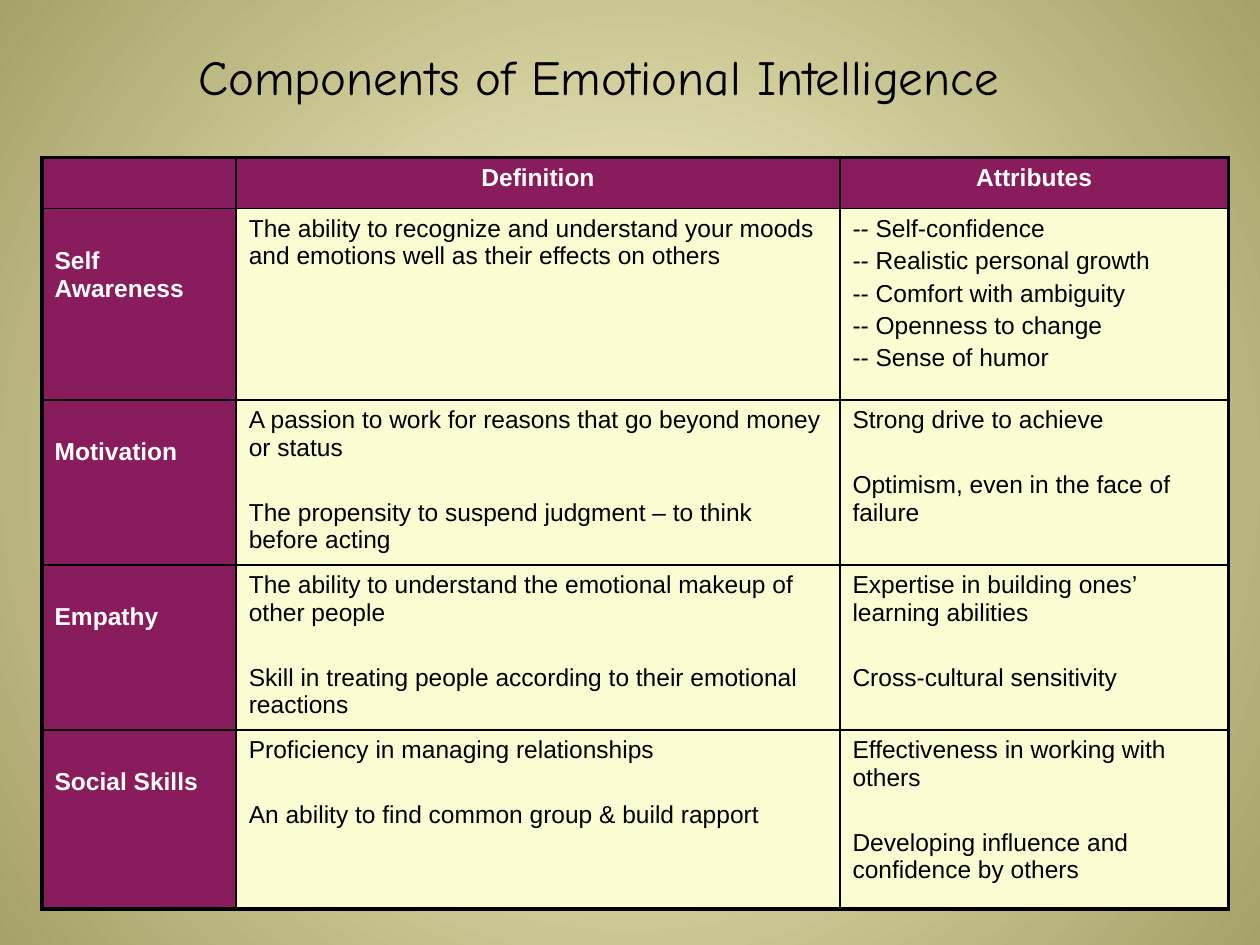
from lxml import etree
from pptx import Presentation
from pptx.dml.color import RGBColor
from pptx.enum.text import MSO_ANCHOR, PP_ALIGN
from pptx.oxml.ns import qn
from pptx.util import Pt

CENTER, LEFT = PP_ALIGN.CENTER, PP_ALIGN.LEFT
MIDDLE, TOP = MSO_ANCHOR.MIDDLE, MSO_ANCHOR.TOP

PLUM, CREAM, BLACK, WHITE = "881C5C", "FCFCD2", "000000", "FFFFFF"
GLOW, OLIVE = "FFFCD4", "A6A167"
TITLE_FONT, BODY_FONT = "Comic Neue", "Arial"
BODY_SIZE = 14
INNER_LINE, OUTER_LINE = 1, 2.25
LIST_GAP, STATEMENT_GAP = 2.8, 21.5
CELL_TOP, LABEL_TOP = 3.6, 22.1

COLUMN_WIDTHS = [111, 345, 222]
ROW_HEIGHTS = [25.9, 109.4, 94.3, 94.3, 102.2]
HEADINGS = ["", "Definition", "Attributes"]
COMPONENTS = [
    ("Self Awareness",
     ["The ability to recognize and understand your moods and emotions well "
      "as their effects on others"],
     ["-- Self-confidence", "-- Realistic personal growth",
      "-- Comfort with ambiguity", "-- Openness to change",
      "-- Sense of humor"]),
    ("Motivation",
     ["A passion to work for reasons that go beyond money or status",
      "The propensity to suspend judgment – to think before acting"],
     ["Strong drive to achieve", "Optimism, even in the face of failure"]),
    ("Empathy",
     ["The ability to understand the emotional makeup of other people",
      "Skill in treating people according to their emotional reactions"],
     ["Expertise in building ones’ learning abilities",
      "Cross-cultural sensitivity"]),
    ("Social Skills",
     ["Proficiency in managing relationships",
      "An ability to find common group & build rapport"],
     ["Effectiveness in working with others",
      "Developing influence and confidence by others"]),
]


def color(hex_value):
    return RGBColor.from_string(hex_value)


class SlideBuilder:
    def __init__(self, slide):
        self.slide = slide

    def background(self, center, edge):
        fill = self.slide.background.fill
        fill.gradient()
        for stop, hex_value in zip(fill.gradient_stops, (center, edge)):
            stop.color.rgb = color(hex_value)
        # Turn the linear gradient into a circular one
        linear = next(self.slide.element.iter(qn("a:lin")))
        circle = etree.Element(qn("a:path"), path="circle")
        etree.SubElement(circle, qn("a:fillToRect"),
                         l="50000", t="50000", r="50000", b="50000")
        linear.getparent().replace(linear, circle)

    def add_text(self, paragraph, text, size, font, hex_value, bold=False):
        run = paragraph.add_run()
        run.text = text
        run.font.size = Pt(size)
        run.font.name = font
        run.font.bold = bold
        run.font.color.rgb = color(hex_value)

    def title(self, text, left, top, width, height):
        title = self.slide.shapes.title
        title.left, title.top = Pt(left), Pt(top)
        title.width, title.height = Pt(width), Pt(height)
        title.text_frame.vertical_anchor = MIDDLE
        paragraph = title.text_frame.paragraphs[0]
        paragraph.alignment = CENTER
        self.add_text(paragraph, text, 28, TITLE_FONT, BLACK)

    def table(self, left, top, widths, heights):
        table = self.slide.shapes.add_table(
            len(heights), len(widths), Pt(left), Pt(top),
            Pt(sum(widths)), Pt(sum(heights))).table
        table.first_row = table.horz_banding = False
        for column, width in zip(table.columns, widths):
            column.width = Pt(width)
        for row, height in zip(table.rows, heights):
            row.height = Pt(height)
        return table

    def cell(self, cell, lines, header, align=LEFT, gap=0, top=CELL_TOP):
        cell.vertical_anchor = TOP
        cell.margin_top = Pt(top)
        frame = cell.text_frame
        for index, line in enumerate(lines):
            paragraph = frame.add_paragraph() if index else frame.paragraphs[0]
            paragraph.alignment = align
            paragraph.space_before = Pt(gap if index else 0)
            self.add_text(paragraph, line, BODY_SIZE, BODY_FONT,
                          WHITE if header else BLACK, header)
        cell.fill.solid()
        cell.fill.fore_color.rgb = color(PLUM if header else CREAM)

    def borders(self, table):
        last_row, last_column = len(table.rows) - 1, len(table.columns) - 1
        for r in range(last_row + 1):
            for c in range(last_column + 1):
                outer_sides = {"a:lnL": c == 0, "a:lnR": c == last_column,
                               "a:lnT": r == 0, "a:lnB": r == last_row}
                properties = table.cell(r, c)._tc.get_or_add_tcPr()
                # Border lines must precede the cell fill
                for position, (side, outer) in enumerate(outer_sides.items()):
                    width = Pt(OUTER_LINE if outer else INNER_LINE)
                    line = etree.Element(qn(side), w=str(int(width)))
                    solid = etree.SubElement(line, qn("a:solidFill"))
                    etree.SubElement(solid, qn("a:srgbClr"), val=BLACK)
                    properties.insert(position, line)


def main():
    presentation = Presentation()
    presentation.slide_width, presentation.slide_height = Pt(720), Pt(540)
    title_only = presentation.slide_layouts[5]
    builder = SlideBuilder(presentation.slides.add_slide(title_only))

    # Background and title
    builder.background(GLOW, OLIVE)
    builder.title("Components of Emotional Intelligence", 18, 18, 648, 50.4)

    # Heading row
    components = builder.table(24, 90, COLUMN_WIDTHS, ROW_HEIGHTS)
    for column, heading in enumerate(HEADINGS):
        builder.cell(components.cell(0, column), [heading] if heading else [],
                     True, CENTER)

    # One row per component
    for row, (name, definition, attributes) in enumerate(COMPONENTS, 1):
        builder.cell(components.cell(row, 0), [name], True, top=LABEL_TOP)
        for column, lines in enumerate((definition, attributes), 1):
            gap = LIST_GAP if lines[0].startswith("--") else STATEMENT_GAP
            builder.cell(components.cell(row, column), lines, False, gap=gap)
    builder.borders(components)

    presentation.save("out.pptx")


if __name__ == "__main__":
    main()
